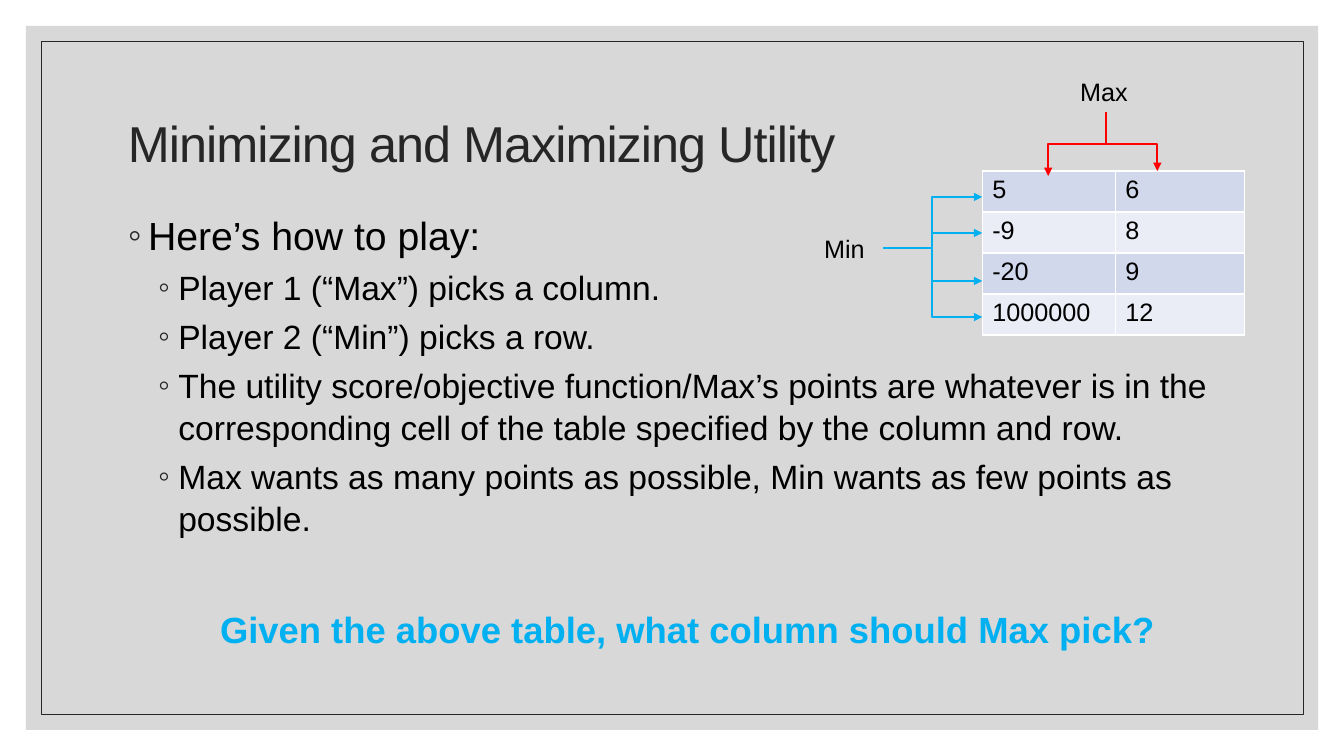
from lxml import etree
from pptx import Presentation
from pptx.dml.color import RGBColor
from pptx.enum.shapes import MSO_CONNECTOR, MSO_SHAPE
from pptx.enum.text import MSO_ANCHOR, PP_ALIGN
from pptx.oxml.ns import qn
from pptx.util import Emu, Inches, Pt

RECTANGLE = MSO_SHAPE.RECTANGLE
ELBOW = MSO_CONNECTOR.ELBOW
TOP, MIDDLE = MSO_ANCHOR.TOP, MSO_ANCHOR.MIDDLE
LEFT, CENTER = PP_ALIGN.LEFT, PP_ALIGN.CENTER
EMU_PER_PX = 914400 / 100.8
FONT = "Arial"
COLORS = {
    "panel": "BFBFBF",
    "dark": "262626",
    "black": "000000",
    "white": "FFFFFF",
    "max": "FF0000",
    "min": "00B0F0",
    "odd_row": "D2D8EC",
    "even_row": "EAEDF6",
}
UTILITIES = [("5", "6"), ("-9", "8"), ("-20", "9"), ("1000000", "12")]
RULES = [
    "Player 1 (“Max”) picks a column.",
    "Player 2 (“Min”) picks a row.",
    "The utility score/objective function/Max’s points are whatever is in the "
    "corresponding cell of the table specified by the column and row.",
    "Max wants as many points as possible, Min wants as few points as possible.",
]


def px(value):
    """Turn pixels into EMU."""
    return Emu(round(value * EMU_PER_PX))


def color(name):
    """Look up a named colour."""
    return RGBColor.from_string(COLORS[name])


def add_child(parent, tag, **attributes):
    """Append an XML element and return it."""
    child = etree.SubElement(parent, qn(tag))
    for key, value in attributes.items():
        child.set(key, str(value))
    return child


def add_rectangle(slide, left, top, width, height, fill=None, alpha=100, line=None):
    """Draw a plain rectangle with an optional fill and outline."""
    shape = slide.shapes.add_shape(RECTANGLE, px(left), px(top), px(width), px(height))
    shape.shadow.inherit = False
    if fill:
        shape.fill.solid()
        shape.fill.fore_color.rgb = color(fill)
        fill_color = shape.fill._xPr.find(qn("a:solidFill"))[0]
        add_child(fill_color, "a:alpha", val=alpha * 1000)
    else:
        shape.fill.background()
    if line:
        shape.line.color.rgb = color(line)
        shape.line.width = Pt(0.5)
    else:
        shape.line.fill.background()


def add_text_frame(slide, left, top, width, height, anchor=TOP, wrap=True):
    """Add a text box and return its text frame."""
    frame = slide.shapes.add_textbox(px(left), px(top), px(width), px(height)).text_frame
    frame.word_wrap = wrap
    frame.vertical_anchor = anchor
    return frame


def write_paragraph(frame, text, size=18, fill="black", bold=False, align=LEFT,
                    line_spacing=1.0, before=0, indent=None, tracking=None):
    """Write one formatted paragraph, with a bullet when an indent is given."""
    paragraph = frame.paragraphs[0]
    if paragraph.runs:
        paragraph = frame.add_paragraph()
    paragraph.alignment = align
    paragraph.line_spacing = line_spacing
    paragraph.space_before = Pt(before)
    if indent:
        properties = paragraph._p.get_or_add_pPr()
        properties.set("marL", str(Inches(indent)))
        properties.set("indent", str(Inches(-0.2)))
        bullet_color = add_child(properties, "a:buClr")
        add_child(bullet_color, "a:srgbClr", val=COLORS["dark"])
        add_child(properties, "a:buFont", typeface=FONT)
        add_child(properties, "a:buChar", char="◦")
    run = paragraph.add_run()
    run.text = text
    run.font.name = FONT
    run.font.size = Pt(size)
    run.font.bold = bold
    run.font.color.rgb = color(fill)
    if tracking:
        run._r.get_or_add_rPr().set("spc", str(round(tracking * 100)))


def add_table(slide, left, top, widths, row_height, rows):
    """Add the utility table with banded rows and white borders."""
    shape = slide.shapes.add_table(len(rows), len(widths), px(left), px(top),
                                   px(sum(widths)), px(row_height * len(rows)))
    table = shape.table
    table.first_row = False
    table.horz_banding = False
    for column, width in zip(table.columns, widths):
        column.width = px(width)
    for row_index, values in enumerate(rows):
        table.rows[row_index].height = px(row_height)
        for column_index, value in enumerate(values):
            cell = table.cell(row_index, column_index)
            write_paragraph(cell.text_frame, value)
            properties = cell._tc.get_or_add_tcPr()
            for side in ("a:lnL", "a:lnR", "a:lnT", "a:lnB"):
                border = add_child(properties, side, w=Pt(1))
                add_child(add_child(border, "a:solidFill"), "a:srgbClr", val=COLORS["white"])
            cell.fill.solid()
            cell.fill.fore_color.rgb = color("even_row" if row_index % 2 else "odd_row")


def add_elbow_arrow(slide, start, end, bend, line, vertical=False):
    """Draw an elbow arrow that turns at the given x, or y when vertical."""
    (x1, y1), (x2, y2) = start, end
    ratio = (bend - y1) / (y2 - y1) if vertical else (bend - x1) / (x2 - x1)
    side = 1 if x2 < x1 else -1
    if vertical:
        middle_x, middle_y = (x1 + x2) / 2, (y1 + y2) / 2
        half_width, half_height = side * (y2 - y1) / 2, abs(x2 - x1) / 2
        x1, x2 = middle_x - half_width, middle_x + half_width
        y1, y2 = middle_y - half_height, middle_y + half_height
    connector = slide.shapes.add_connector(ELBOW, px(x1), px(y1), px(x2), px(y2))
    connector.line.color.rgb = color(line)
    connector.line.width = Pt(1.5)
    properties = connector._element.spPr
    if vertical:
        properties.find(qn("a:xfrm")).set("rot", str((90 if side > 0 else 270) * 60000))
    geometry = properties.find(qn("a:prstGeom"))
    guides = geometry.find(qn("a:avLst"))
    if guides is None:
        guides = add_child(geometry, "a:avLst")
    add_child(guides, "a:gd", name="adj1", fmla=f"val {round(ratio * 100000)}")
    add_child(properties.find(qn("a:ln")), "a:tailEnd", type="triangle")
    add_child(properties, "a:effectLst")


def main():
    """Build the slide and save it."""
    presentation = Presentation()
    presentation.slide_width = Inches(13.33)
    presentation.slide_height = Inches(7.5)
    slide = presentation.slides.add_slide(presentation.slide_layouts[6])

    add_rectangle(slide, 26, 26, 1292, 704, fill="panel", alpha=60)
    add_rectangle(slide, 41, 41, 1262, 673, line="dark")

    title = add_text_frame(slide, 118, 71, 1109, 151, anchor=MIDDLE)
    write_paragraph(title, "Minimizing and Maximizing Utility", size=36, fill="dark",
                    line_spacing=0.9, tracking=-0.7)

    body = add_text_frame(slide, 118, 197, 1140, 513)
    write_paragraph(body, "Here’s how to play:", size=28, line_spacing=1.2,
                    before=9, indent=0.2)
    for rule in RULES:
        write_paragraph(body, rule, size=24, line_spacing=1.04, before=5, indent=0.5)
    write_paragraph(body, "Given the above table, what column should Max pick?", size=26,
                    fill="min", bold=True, align=CENTER, line_spacing=1.2, before=43)

    add_table(slide, 982, 171, (133, 129), 41, UTILITIES)

    for name, left, top, width in (("Max", 1070, 71, 73), ("Min", 814, 228, 70)):
        label = add_text_frame(slide, left, top, width, 40, wrap=False)
        write_paragraph(label, name)
    for end in ((1048, 176), (1157, 171)):
        add_elbow_arrow(slide, (1106, 112), end, 144, "max", vertical=True)
    for row_y in (197, 233, 281, 317):
        add_elbow_arrow(slide, (883, 248), (982, row_y), 932, "min")

    presentation.save("out.pptx")


if __name__ == "__main__":
    main()
